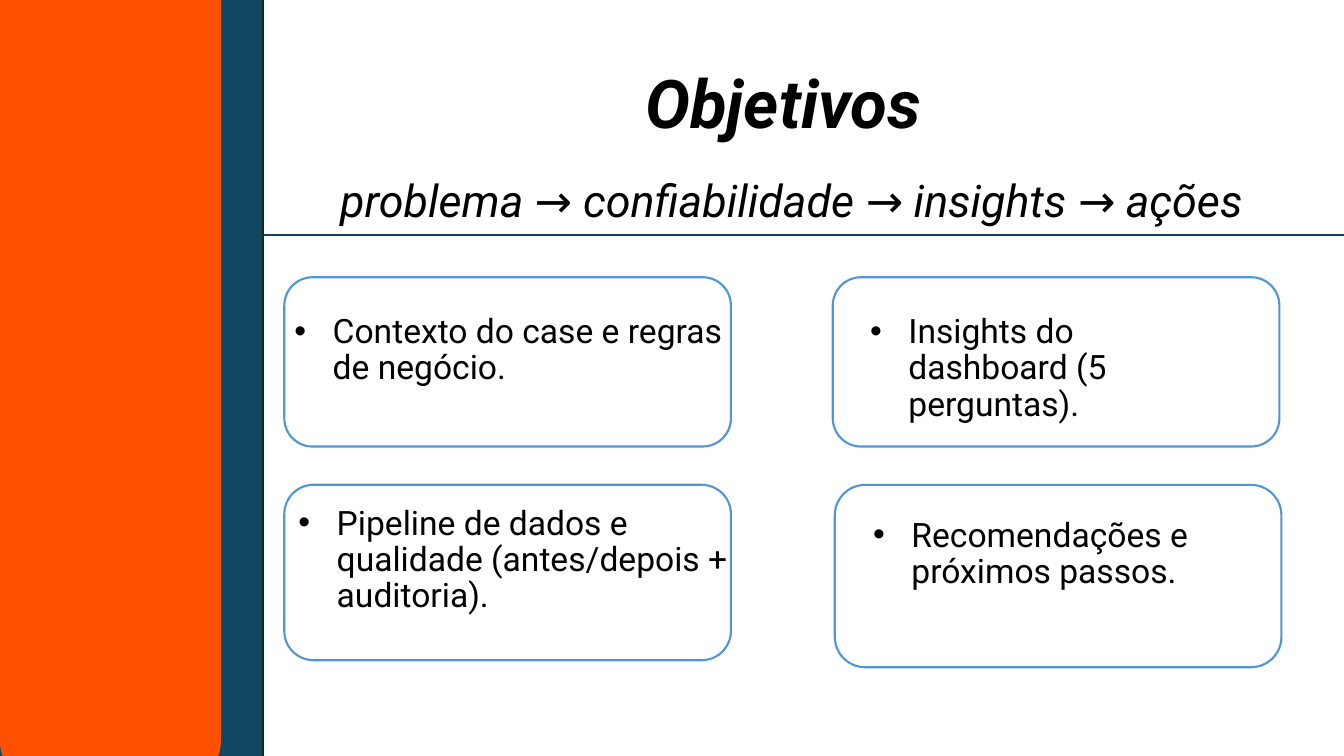
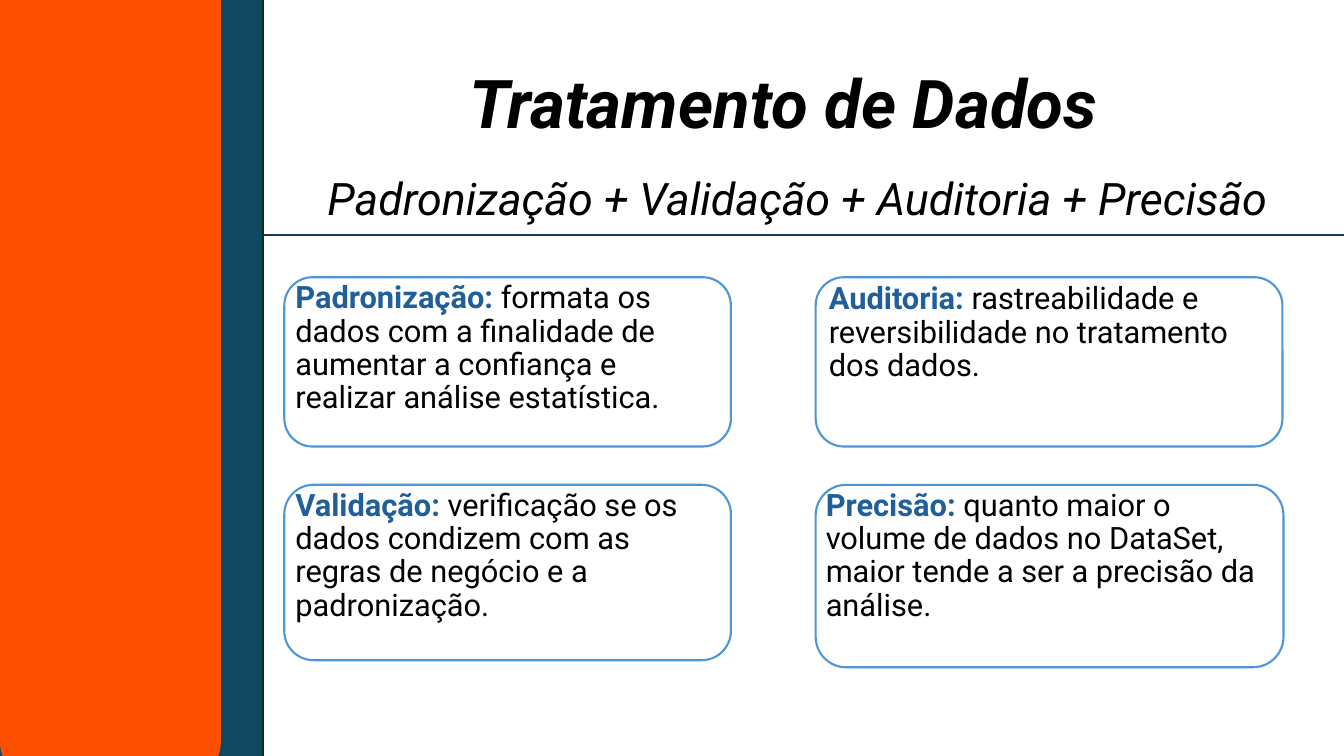
from dataclasses import dataclass
from typing import NamedTuple, Optional

from lxml.etree import SubElement
from pptx import Presentation
from pptx.dml.color import RGBColor
from pptx.enum.shapes import MSO_CONNECTOR, MSO_SHAPE
from pptx.enum.text import MSO_ANCHOR, MSO_AUTO_SIZE, PP_ALIGN
from pptx.oxml.ns import qn
from pptx.util import Inches, Pt

FONT = "Roboto"
BLACK = "000000"
ORANGE = "FF5000"
TEAL = "104862"
TEAL_EDGE = "0B2F10"
CARD_EDGE = "4E95D9"
RULE_BLUE = "163E64"
LEAD_BLUE = "215F9A"

COMPARISON_LAYOUT = 5 - 1
BULLET_INDENT = 0.38
UPPER_ROW, LOWER_ROW = 2.75, 4.81
LEFT_COLUMN = 2.82


class Box(NamedTuple):
    left: float
    top: float
    width: float
    height: float

    def inches(self) -> tuple:
        return tuple(Inches(length) for length in self)


class Run(NamedTuple):
    text: str
    color: str = BLACK
    bold: bool = False


@dataclass
class Card:
    outline: Box
    text_area: Box
    runs: list[Run]


@dataclass
class Topic:
    title: str
    tagline: str
    tagline_area: Box
    cards: list[Card]
    text_size: float
    bulleted: bool = False


TITLE_AREA = Box(2.02, 0.6, 11.5, 0.87)
TEAL_BAND = Box(-0.15, -0.12, 2.76, 7.85)
ORANGE_BAND = Box(0, -0.4, 2.19, 8.13)
UPPER_LEFT = Box(LEFT_COLUMN, UPPER_ROW, 4.43, 1.68)
LOWER_LEFT = Box(LEFT_COLUMN, LOWER_ROW, 4.43, 1.74)


def explained(term: str, meaning: str) -> list[Run]:
    return [Run(f"{term}: ", LEAD_BLUE, True), Run(meaning)]


TOPICS = [
    Topic(
        "Objetivos",
        "problema → confiabilidade → insights → ações",
        Box(2.93, 1.43, 9.85, 0.87),
        [
            Card(UPPER_LEFT, Box(2.82, 3.07, 4.68, 1.81),
                 [Run("Contexto do case e regras de negócio.")]),
            Card(LOWER_LEFT, Box(2.86, 4.97, 4.64, 1.81),
                 [Run("Pipeline de dados e qualidade (antes/depois + auditoria).")]),
            Card(Box(8.26, UPPER_ROW, 4.43, 1.68), Box(8.53, 3.07, 3.79, 1.12),
                 [Run("Insights do dashboard (5 perguntas).")]),
            Card(Box(8.28, LOWER_ROW, 4.43, 1.81), Box(8.56, 5.09, 3.92, 1.81),
                 [Run("Recomendações e próximos passos.")]),
        ],
        text_size=24,
        bulleted=True,
    ),
    Topic(
        "Tratamento de Dados",
        "Padronização + Validação + Auditoria + Precisão",
        Box(2.93, 1.48, 9.97, 0.8),
        [
            Card(UPPER_LEFT, Box(2.83, 2.75, 4.16, 1.82),
                 explained("Padronização", "formata os dados com a finalidade de "
                           "aumentar a confiança e realizar análise estatística.")),
            Card(LOWER_LEFT, Box(2.83, 4.81, 4.44, 1.81),
                 explained("Validação", "verificação se os dados condizem com as "
                           "regras de negócio e a padronização.")),
            Card(Box(8.09, UPPER_ROW, 4.63, 1.68), Box(8.12, 2.76, 4.44, 1.81),
                 explained("Auditoria", "rastreabilidade e reversibilidade no "
                           "tratamento dos dados.")),
            Card(Box(8.09, LOWER_ROW, 4.64, 1.81), Box(8.09, 4.81, 4.51, 1.97),
                 explained("Precisão", "quanto maior o volume de dados no DataSet, "
                           "maior tende a ser a precisão da análise.")),
        ],
        text_size=22,
    ),
]


def rgb(color: str) -> RGBColor:
    return RGBColor.from_string(color)


def place(shape, box: Box) -> None:
    shape.left, shape.top, shape.width, shape.height = box.inches()


def write_text(shape, runs: list[Run], *, size: float, italic: bool = False,
               align=PP_ALIGN.LEFT, anchor=MSO_ANCHOR.TOP,
               space_before: float = 0, bulleted: bool = False) -> None:
    frame = shape.text_frame
    frame.word_wrap = True
    frame.auto_size = MSO_AUTO_SIZE.NONE
    frame.vertical_anchor = anchor
    paragraph = frame.paragraphs[0]
    paragraph.alignment = align
    paragraph.line_spacing = 0.9
    paragraph.space_before = Pt(space_before)
    for part in runs:
        run = paragraph.add_run()
        run.text = part.text
        run.font.name = FONT
        run.font.size = Pt(size)
        run.font.bold = part.bold
        run.font.italic = italic
        run.font.color.rgb = rgb(part.color)
    set_bullet(paragraph, bulleted)


def set_bullet(paragraph, bulleted: bool) -> None:
    """Give the paragraph a hanging bullet, or clear an inherited one."""
    properties = paragraph._p.get_or_add_pPr()
    indent = Inches(BULLET_INDENT) if bulleted else 0
    properties.set("marL", str(indent))
    properties.set("indent", str(-indent))
    if bulleted:
        SubElement(properties, qn("a:buFont"), typeface="Arial")
        SubElement(properties, qn("a:buChar"), char="•")
    else:
        SubElement(properties, qn("a:buNone"))


def draw_shape(slide, kind: MSO_SHAPE, box: Box, *, fill: Optional[str] = None,
               edge: Optional[str] = None) -> None:
    shape = slide.shapes.add_shape(kind, *box.inches())
    shape.shadow.inherit = False
    if fill:
        shape.fill.solid()
        shape.fill.fore_color.rgb = rgb(fill)
    else:
        shape.fill.background()
    if edge:
        shape.line.color.rgb = rgb(edge)
        shape.line.width = Pt(1.5)
    else:
        shape.line.fill.background()


def draw_rule(slide) -> None:
    rule = slide.shapes.add_connector(
        MSO_CONNECTOR.STRAIGHT,
        Inches(2.61), Inches(2.33), Inches(13.33), Inches(2.33))
    rule.line.color.rgb = rgb(RULE_BLUE)
    rule.line.width = Pt(1.5)
    SubElement(rule._element.spPr, qn("a:effectLst"))


def draw_frame(slide) -> None:
    """Draw the side bands and the line under the heading."""
    draw_shape(slide, MSO_SHAPE.RECTANGLE, TEAL_BAND, fill=TEAL, edge=TEAL_EDGE)
    draw_shape(slide, MSO_SHAPE.ROUNDED_RECTANGLE, ORANGE_BAND, fill=ORANGE)
    draw_rule(slide)


def draw_heading(slide, topic: Topic) -> None:
    title = slide.shapes.title
    place(title, TITLE_AREA)
    tagline = slide.shapes.add_textbox(*topic.tagline_area.inches())
    for shape, run, size in ((title, Run(topic.title, bold=True), 48),
                             (tagline, Run(topic.tagline), 32)):
        write_text(shape, [run], size=size, italic=True,
                   align=PP_ALIGN.CENTER, anchor=MSO_ANCHOR.BOTTOM)


def build_slide(deck, topic: Topic) -> None:
    slide = deck.slides.add_slide(deck.slide_layouts[COMPARISON_LAYOUT])
    draw_frame(slide)
    draw_heading(slide, topic)
    bodies = [holder for holder in slide.placeholders
              if holder.placeholder_format.idx > 0]
    for card, body in zip(topic.cards, bodies):
        draw_shape(slide, MSO_SHAPE.ROUNDED_RECTANGLE, card.outline, edge=CARD_EDGE)
        place(body, card.text_area)
        write_text(body, card.runs, size=topic.text_size, space_before=10,
                   bulleted=topic.bulleted)


def main() -> None:
    deck = Presentation()
    deck.slide_width, deck.slide_height = Inches(13.33), Inches(7.5)
    for topic in TOPICS:
        build_slide(deck, topic)
    deck.save("out.pptx")


if __name__ == "__main__":
    main()
